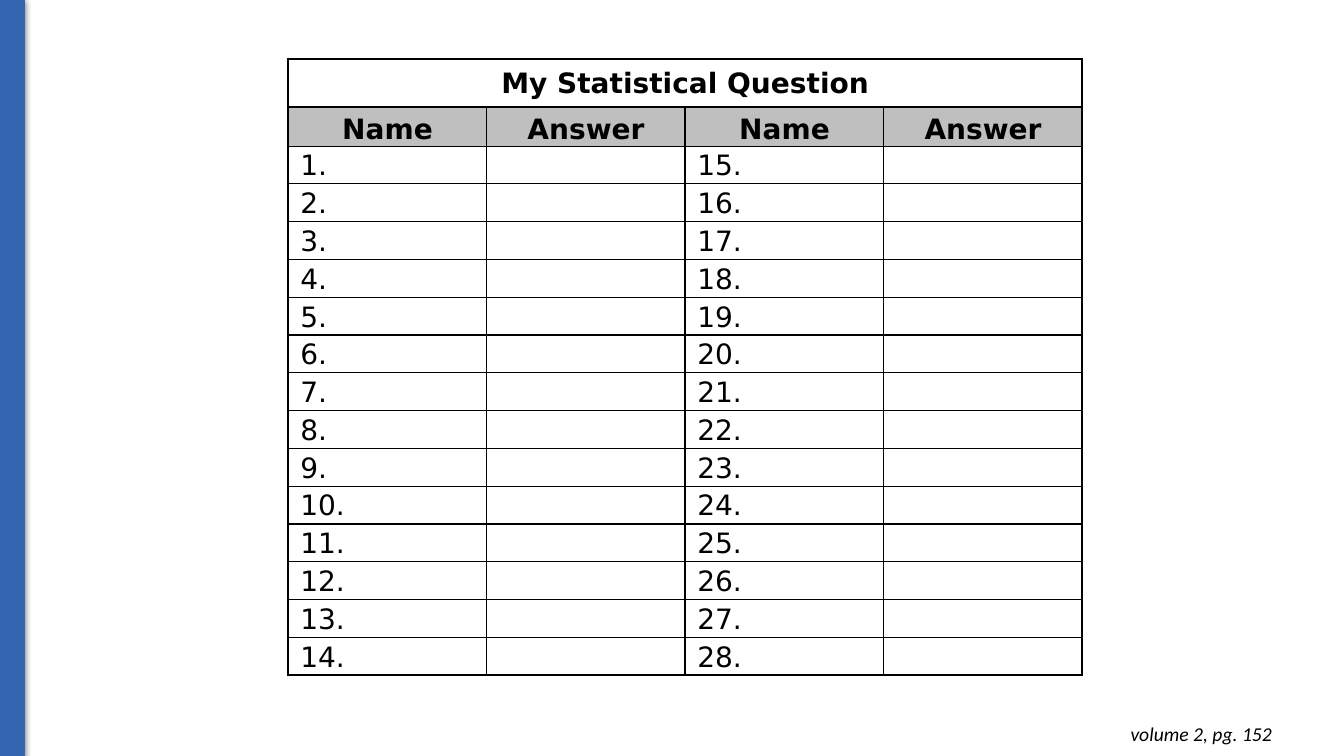
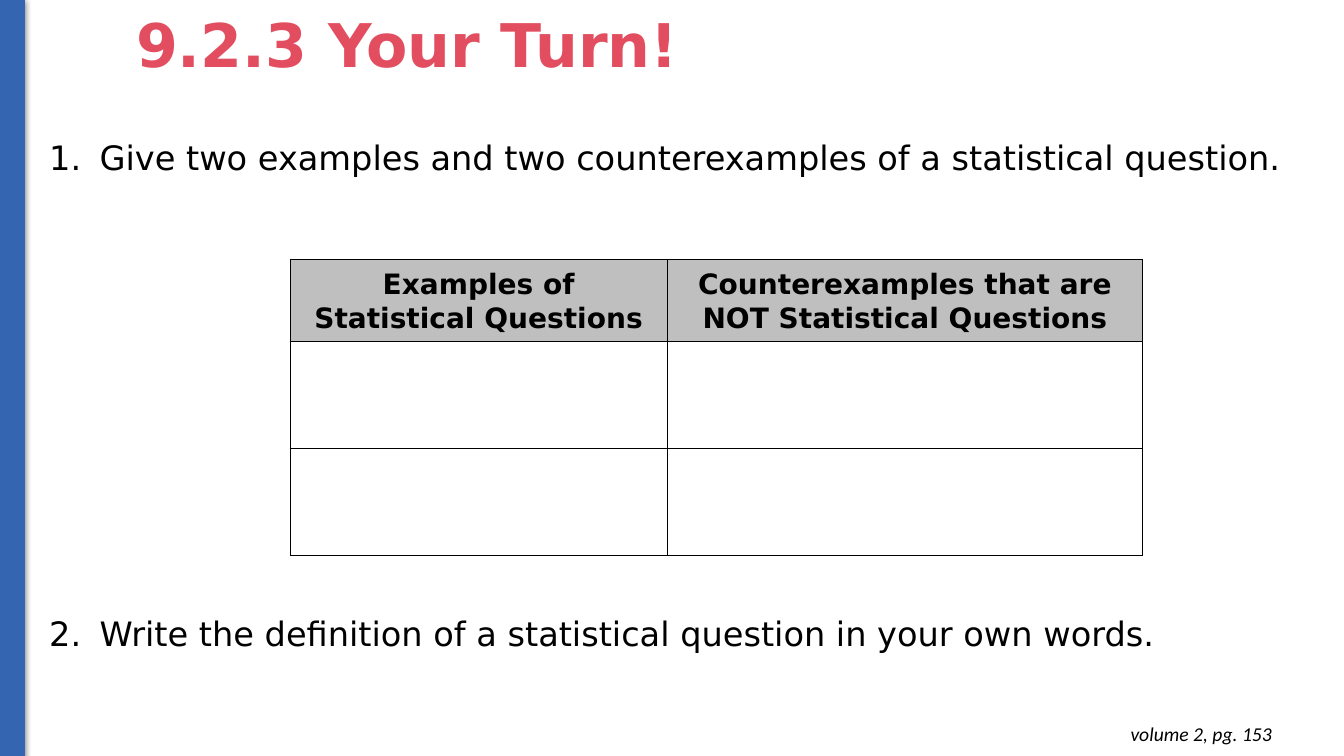
from lxml.etree import SubElement
from pptx import Presentation
from pptx.dml.color import RGBColor as Rgb
from pptx.enum.shapes import MSO_SHAPE as Shape
from pptx.enum.text import MSO_ANCHOR as Anchor, MSO_AUTO_SIZE as Fit, PP_ALIGN as Align
from pptx.oxml.ns import qn
from pptx.util import Emu, Pt

PX = 4572  # 200 px to the inch
COLORS = {"band": "3465B0", "title": "E24E5F", "head": "BFBFBF", "ink": "000000"}
SANS, FOOT = "DejaVu Sans", "Calibri"
THIN, THICK = 1, 1.5
INSET, TIGHT = (20, 10, 20, 10), (0, 0, 0, 0)


def px(n):
    return Emu(n * PX)


def rgb(key):
    return Rgb.from_string(COLORS[key])


def node(parent, tag, **attrs):
    return SubElement(parent, qn(tag), {k: str(v) for k, v in attrs.items()})


def put(para, text, size=20, font=SANS, color="ink", bold=False, italic=False,
        align=Align.LEFT, lines=1.07, before=None):
    """Write text into a paragraph with the given format."""
    para.alignment, para.line_spacing = align, lines
    if before:
        para.space_before = Pt(before)
    run = para.add_run()
    run.text = text
    face = run.font
    face.name, face.size, face.bold, face.italic = font, Pt(size), bold, italic
    face.color.rgb = rgb(color)


def pad(item, left, top, right, bottom):
    """Set the inner margins of a cell or a text frame."""
    item.margin_left, item.margin_top = px(left), px(top)
    item.margin_right, item.margin_bottom = px(right), px(bottom)


def box(slide, *place, inset=INSET):
    frame = slide.shapes.add_textbox(*map(px, place)).text_frame
    frame.word_wrap = True
    pad(frame, *inset)
    return frame


def band(slide):
    bar = slide.shapes.add_shape(Shape.RECTANGLE, *map(px, (0, -2, 48, 1502)))
    bar.fill.solid()
    bar.fill.fore_color.rgb = bar.line.color.rgb = rgb("band")
    bar.line.width = Pt(0.75)
    bar.shadow.inherit = False
    glow = bar.element.spPr.find(qn("a:effectLst"))
    cast = node(glow, "a:outerShdw", blurRad=Pt(4.5), dist=Pt(1.5),
                dir=90 * 60000, rotWithShape=0)
    tint = node(cast, "a:srgbClr", val=COLORS["ink"])
    node(tint, "a:alpha", val=50000)


def page(deck, layout, number):
    """Add a slide with the side band and the page note."""
    slide = deck.slides.add_slide(deck.slide_layouts[layout])
    band(slide)
    note = box(slide, 1968, 1412, 576, 88, inset=(20, 20, 20, 20))
    put(note.paragraphs[0], f"volume 2, pg. {number}", size=14, font=FOOT,
        italic=True, align=Align.RIGHT, lines=1.0)
    return slide


def title(slide, text):
    head = slide.shapes.title
    head.left, head.top, head.width, head.height = map(px, (250, 14, 1754, 164))
    frame = head.text_frame
    frame.auto_size, frame.vertical_anchor = Fit.NONE, Anchor.MIDDLE
    pad(frame, *INSET)
    put(frame.paragraphs[0], text, size=43, color="title", bold=True, lines=0.9)


def grid(slide, left, top, cols, rows):
    """Add a plain table without the banded style."""
    frame = slide.shapes.add_table(len(rows), len(cols), px(left), px(top),
                                   px(sum(cols)), px(sum(rows)))
    table = frame.table
    table.first_row = table.horz_banding = False
    for col, width in zip(table.columns, cols):
        col.width = px(width)
    for row, height in zip(table.rows, rows):
        row.height = px(height)
    return table


def cell(table, row, col, text="", head=False, inset=TIGHT, anchor=Anchor.MIDDLE,
         edges=(THIN,) * 4, **style):
    """Format one cell; edges are left, right, top and bottom widths."""
    spot = table.cell(row, col)
    pad(spot, *inset)
    spot.vertical_anchor = anchor
    if head:
        spot.fill.solid()
        spot.fill.fore_color.rgb = rgb("head")
    else:
        spot.fill.background()
    props = spot._tc.get_or_add_tcPr()
    for i, (side, width) in enumerate(zip("LRTB", edges)):
        line = node(props, f"a:ln{side}", w=Pt(width))
        node(node(line, "a:solidFill"), "a:srgbClr", val=COLORS["ink"])
        props.insert(i, line)
    if text:
        put(spot.text_frame.paragraphs[0], text, **style)


def survey(deck):
    slide = page(deck, 6, 152)
    count = 14
    table = grid(slide, 572, 117, [394] * 4, [95, 78] + [75] * count)
    bold = dict(bold=True, align=Align.CENTER)
    for col in range(4):
        cell(table, 0, col, "" if col else "My Statistical Question",
             edges=(THICK,) * 4, **bold)
        named = col % 2 == 0
        sides = (THICK, THIN) if named else (THIN, THICK)
        cell(table, 1, col, "Name" if named else "Answer", head=True,
             anchor=Anchor.BOTTOM, edges=(*sides, THICK, THIN), **bold)
        for n in range(1, count + 1):
            text = f"{n + col // 2 * count}." if named else ""
            base = THICK if n == count else THIN
            cell(table, n + 1, col, text, inset=(24, 0, 0, 0),
                 edges=(*sides, THIN, base))
    table.cell(0, 0).merge(table.cell(0, 3))


def tasks(deck):
    slide = page(deck, 5, 153)
    title(slide, "9.2.3 Your Turn!")
    frame = box(slide, 78, 256, 2566, 1050)
    items = [("Give two examples and two counterexamples of a statistical question.", None),
             ("Write the definition of a statistical question in your own words.", 309)]
    for i, (text, gap) in enumerate(items):
        para = frame.add_paragraph() if i else frame.paragraphs[0]
        props = para._p.get_or_add_pPr()
        props.set("marL", str(px(100)))
        props.set("indent", str(px(-100)))
        node(node(props, "a:buClr"), "a:srgbClr", val=COLORS["ink"])
        node(props, "a:buFont", typeface=SANS)
        node(props, "a:buAutoNum", type="arabicPeriod")
        put(para, text, size=24, before=gap)
    table = grid(slide, 576, 515, [748, 944], [162, 212, 212])
    heads = ["Examples of Statistical Questions",
             "Counterexamples that are NOT Statistical Questions"]
    for col, text in enumerate(heads):
        cell(table, 0, col, text, head=True, inset=INSET, bold=True, align=Align.CENTER)
        for row in (1, 2):
            cell(table, row, col, inset=INSET)


def main():
    deck = Presentation()
    deck.slide_width, deck.slide_height = px(2667), px(1500)
    survey(deck)
    tasks(deck)
    deck.save("out.pptx")


if __name__ == "__main__":
    main()
